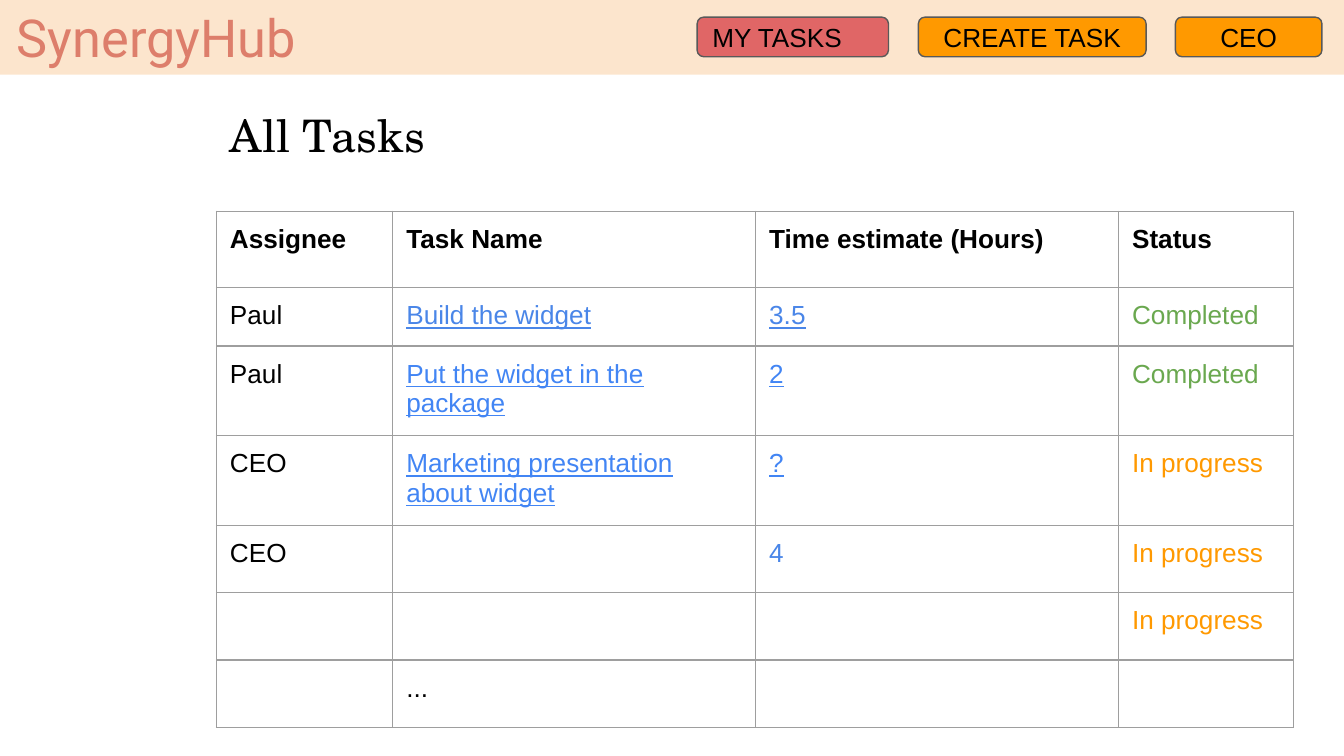
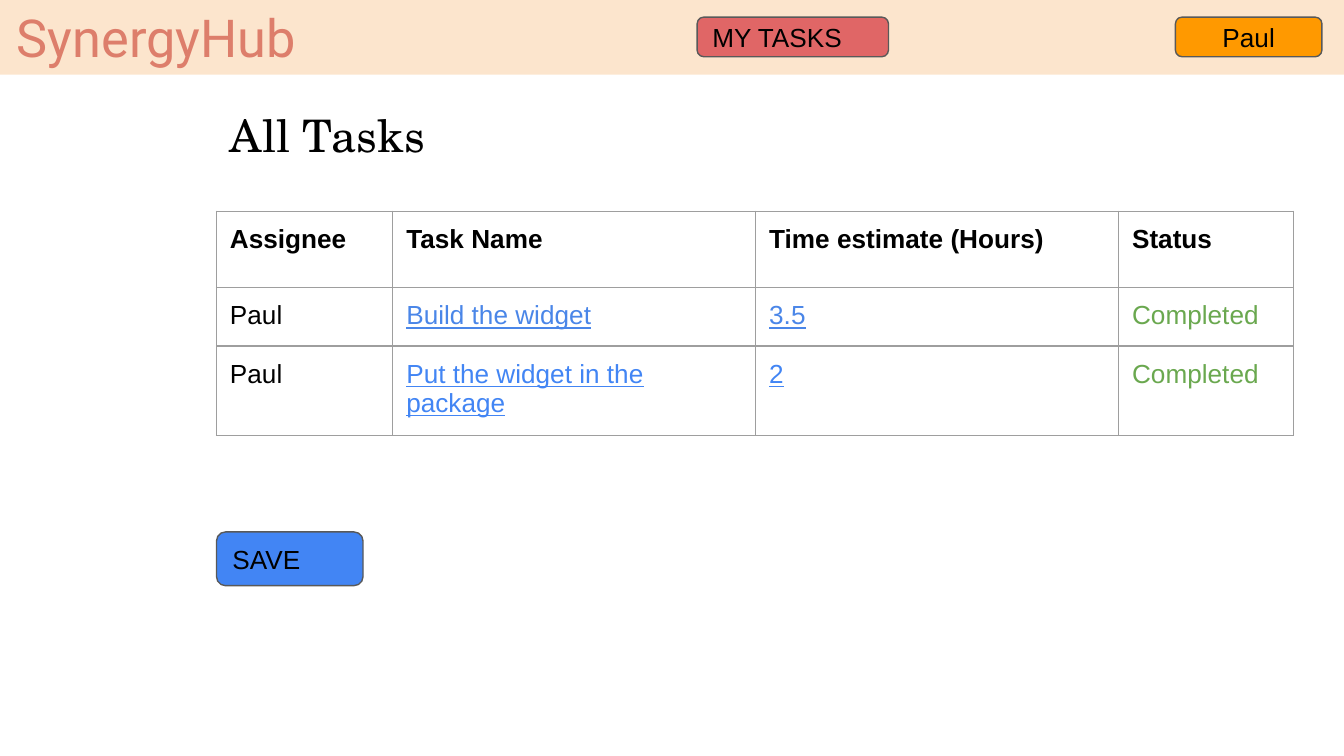
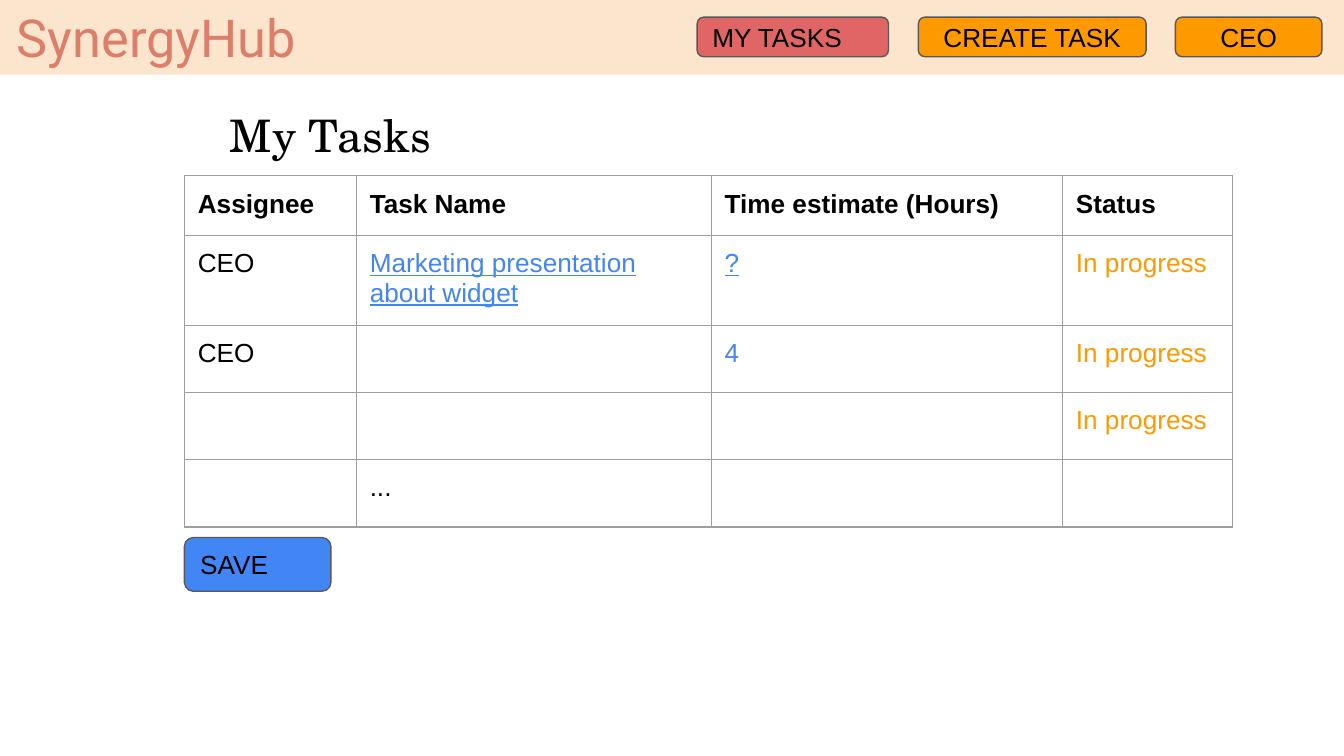
from collections import namedtuple

from lxml.etree import SubElement
from pptx import Presentation
from pptx.dml.color import RGBColor
from pptx.enum.shapes import MSO_SHAPE
from pptx.enum.text import MSO_ANCHOR, MSO_AUTO_SIZE, PP_ALIGN
from pptx.oxml.ns import qn
from pptx.util import Pt

COLORS = {
    "band": "FCE5CD",
    "brand": "DD7E6B",
    "orange": "FF9900",
    "red": "E06666",
    "blue": "4285F4",
    "sky": "4A86E8",
    "green": "6AA84F",
    "outline": "595959",
    "grid": "9E9E9E",
    "black": "000000",
}
STATUS_COLORS = {"Completed": "green", "In progress": "orange", "": "black"}
HEADINGS = ("Assignee", "Task Name", "Time estimate (Hours)", "Status")
INSET = 7.2

Task = namedtuple(
    "Task", "assignee name hours status color underlined", defaults=("blue", True)
)
PAUL_TASKS = [
    Task("Paul", "Build the widget", "3.5", "Completed", "sky"),
    Task("Paul", "Put the widget in the package", "2", "Completed"),
]
CEO_TASKS = [
    Task("CEO", "Marketing presentation about widget", "?", "In progress"),
    Task("CEO", "", "4", "In progress", "sky", False),
    Task("", "", "", "In progress"),
    Task("", "...", "", "", "black", False),
]


def rgb(color):
    return RGBColor.from_string(COLORS[color])


class TaskBoard:
    """Holds the deck, its style and the slide being filled."""

    def __init__(self):
        self.deck = Presentation()
        self.deck.slide_width = Pt(720)
        self.deck.slide_height = Pt(405)
        self.page = None

    def set_text(self, frame, text, size=14, font="Arial", color="black",
                 bold=False, underline=False, align=PP_ALIGN.LEFT):
        frame.text = text
        para = frame.paragraphs[0]
        para.alignment = align
        for span in para.runs:
            span.font.size = Pt(size)
            span.font.name = font
            span.font.bold = bold
            span.font.underline = underline
            span.font.color.rgb = rgb(color)

    def set_frame(self, frame, anchor):
        frame.word_wrap = True
        frame.vertical_anchor = anchor
        frame.margin_left = frame.margin_right = Pt(INSET)
        frame.margin_top = frame.margin_bottom = Pt(INSET)

    def shape(self, kind, left, top, width, height, fill):
        box = self.page.shapes.add_shape(
            kind, Pt(left), Pt(top), Pt(width), Pt(height))
        box.shadow.inherit = False
        box.fill.solid()
        box.fill.fore_color.rgb = rgb(fill)
        box.line.fill.background()
        return box

    def button(self, label, left, top, width, height, fill, align=PP_ALIGN.LEFT):
        box = self.shape(MSO_SHAPE.ROUNDED_RECTANGLE, left, top, width, height, fill)
        box.line.color.rgb = rgb("outline")
        box.line.width = Pt(0.75)
        self.set_frame(box.text_frame, MSO_ANCHOR.MIDDLE)
        self.set_text(box.text_frame, label, align=align)

    def start_page(self, title, user, title_width=122, can_create=True):
        """Adds a slide with the header band, its buttons and the title."""
        self.page = self.deck.slides.add_slide(self.deck.slide_layouts[5])
        self.shape(MSO_SHAPE.RECTANGLE, 0, 0, 720, 40, "band")
        brand = self.page.shapes.add_textbox(Pt(2), Pt(-4.5), Pt(362), Pt(48))
        self.set_frame(brand.text_frame, MSO_ANCHOR.TOP)
        self.set_text(brand.text_frame, "SynergyHub", 28, "Roboto", "brand")

        heading = self.page.shapes.title
        heading.left, heading.top = Pt(116), Pt(50.5)
        heading.width, heading.height = Pt(title_width), Pt(44)
        self.set_frame(heading.text_frame, MSO_ANCHOR.TOP)
        self.set_text(heading.text_frame, title, 24, "TeX Gyre Schola")
        for box in (brand, heading):
            box.text_frame.auto_size = MSO_AUTO_SIZE.SHAPE_TO_FIT_TEXT

        top, height = 9.2, 21.2
        self.button("MY TASKS", 373.5, top, 102.5, height, "red")
        if can_create:
            self.button("CREATE TASK", 492, top, 122, height, "orange",
                        PP_ALIGN.CENTER)
        self.button(user, 629.7, top, 78.5, height, "orange", PP_ALIGN.CENTER)

    def save_button(self, left, top):
        self.button("SAVE", left, top, 78.5, 28.8, "blue")

    def style_cell(self, cell):
        cell.margin_left = cell.margin_right = Pt(INSET)
        cell.margin_top = cell.margin_bottom = Pt(INSET)
        properties = cell._tc.get_or_add_tcPr()
        for side in ("a:lnL", "a:lnR", "a:lnT", "a:lnB"):
            line = SubElement(properties, qn(side), w=str(Pt(0.75)))
            fill = SubElement(line, qn("a:solidFill"))
            SubElement(fill, qn("a:srgbClr"), val=COLORS["grid"])
        cell.fill.background()

    def task_table(self, tasks, left, top, widths, heights):
        table = self.page.shapes.add_table(
            len(tasks) + 1, len(HEADINGS), Pt(left), Pt(top),
            Pt(sum(widths)), Pt(sum(heights))).table
        table.first_row = table.horz_banding = False
        for column, width in zip(table.columns, widths):
            column.width = Pt(width)
        for row, height in zip(table.rows, heights):
            row.height = Pt(height)
        for cell in table.iter_cells():
            self.style_cell(cell)

        for column, text in enumerate(HEADINGS):
            self.set_text(table.cell(0, column).text_frame, text, bold=True)
        for row, task in enumerate(tasks, start=1):
            link = {"color": task.color, "underline": task.underlined}
            looks = ({}, link, link, {"color": STATUS_COLORS[task.status]})
            for column, look in enumerate(looks):
                if task[column]:
                    self.set_text(table.cell(row, column).text_frame,
                                  task[column], **look)


def main():
    board = TaskBoard()
    wide_columns = (94.5, 194.4, 194.4, 93.7)

    everyone = PAUL_TASKS + CEO_TASKS
    board.start_page("All Tasks", "CEO")
    board.task_table(everyone, 116, 113.2, wide_columns, [41] + [30.5] * len(everyone))

    board.start_page("All Tasks", "Paul", can_create=False)
    board.task_table(PAUL_TASKS, 116, 113.2, wide_columns,
                     [41] + [30.5] * len(PAUL_TASKS))
    board.save_button(116, 285)

    board.start_page("My Tasks", "CEO", title_width=244)
    board.task_table(CEO_TASKS, 98.8, 94.2, (92.1, 190.1, 188.2, 91),
                     (32, 37.5, 24.5, 24.5, 24.5))
    board.save_button(98.8, 288)

    board.deck.save("out.pptx")


if __name__ == "__main__":
    main()
